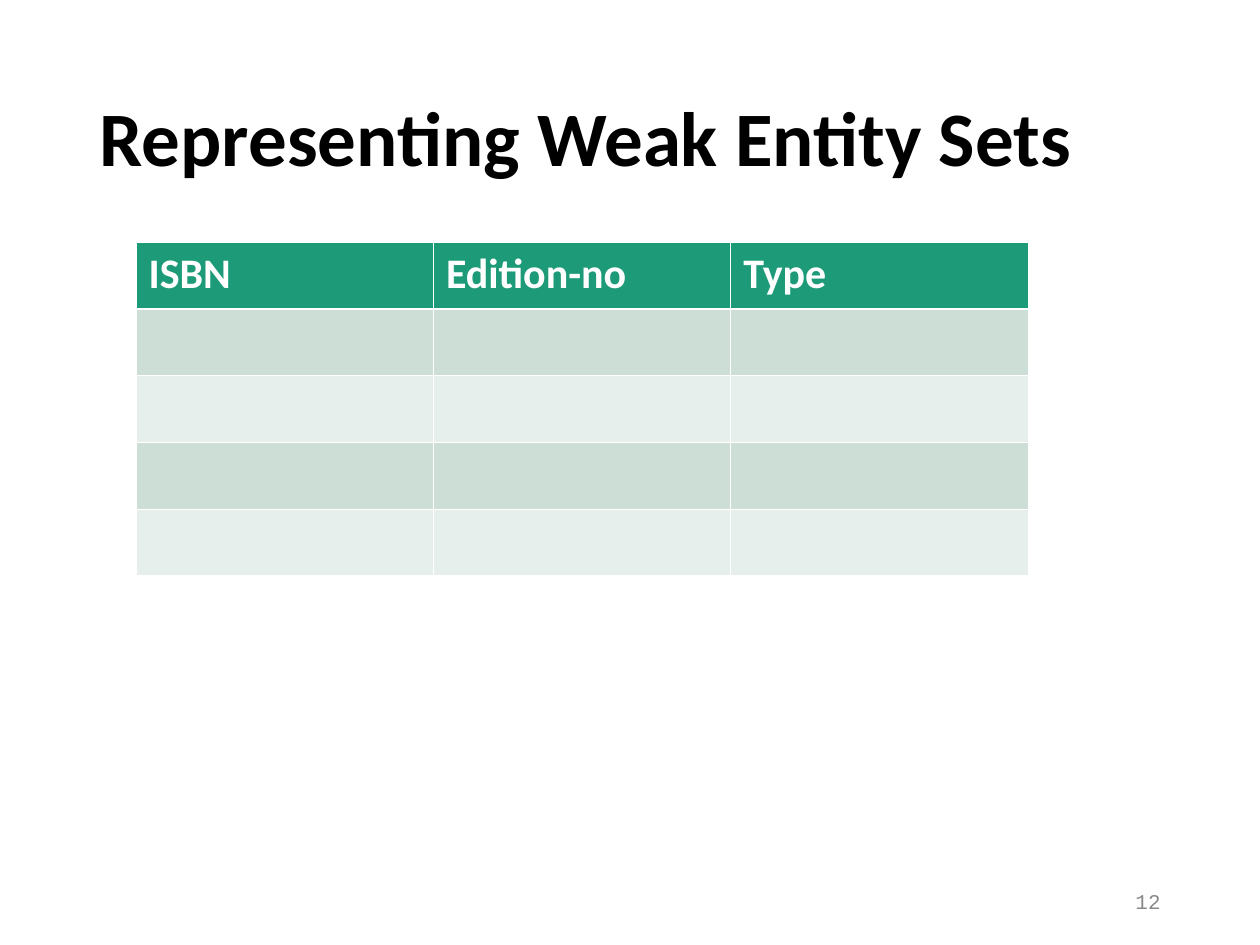
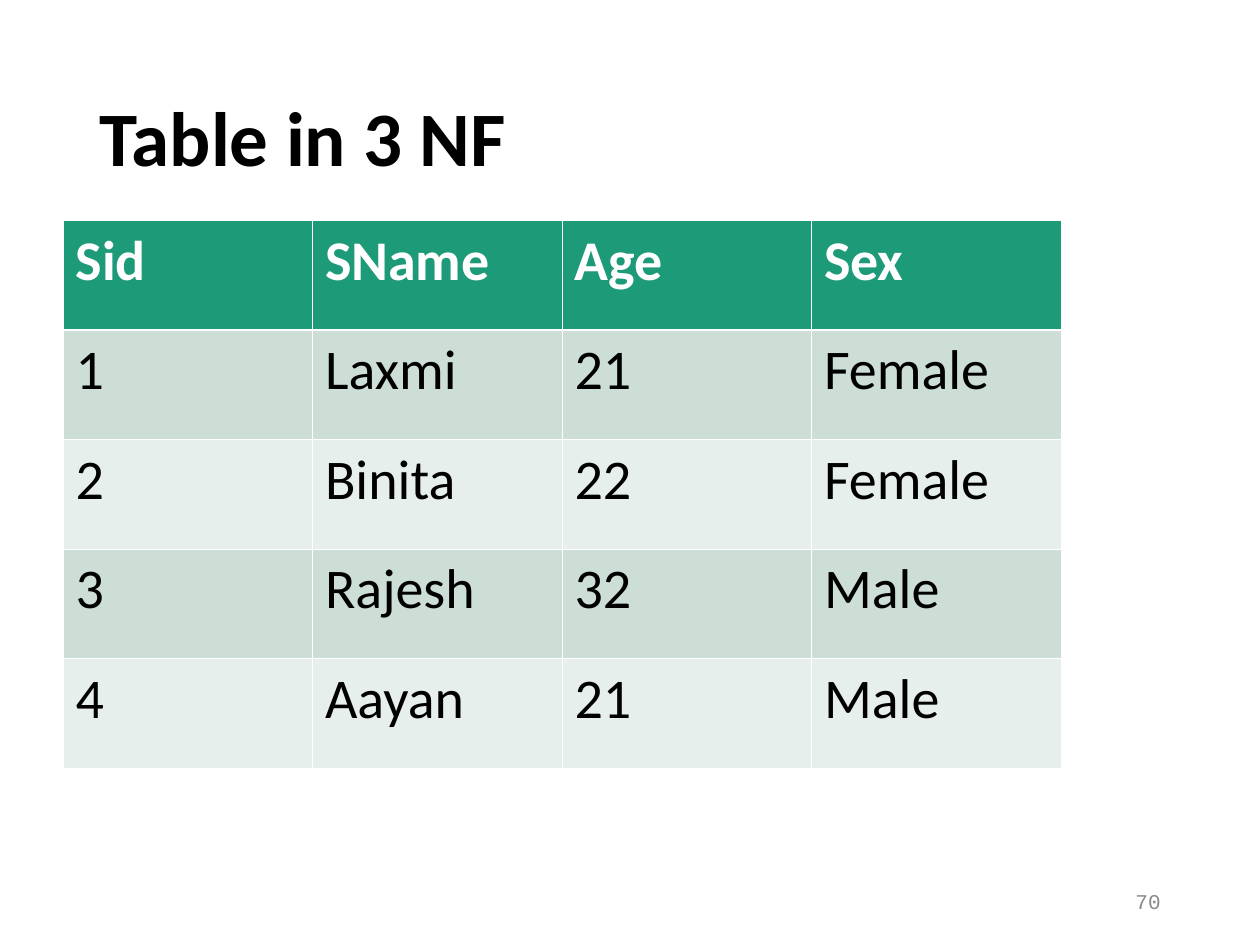
from lxml import etree
from pptx import Presentation
from pptx.dml.color import RGBColor
from pptx.enum.text import MSO_ANCHOR, PP_ALIGN
from pptx.oxml.ns import qn
from pptx.util import Inches, Pt

LEFT, RIGHT = PP_ALIGN.LEFT, PP_ALIGN.RIGHT
MIDDLE = MSO_ANCHOR.MIDDLE

BLACK = RGBColor(0x00, 0x00, 0x00)
WHITE = RGBColor(0xFF, 0xFF, 0xFF)
GREY = RGBColor(0x89, 0x89, 0x89)
GREEN = RGBColor(0x1D, 0x9A, 0x78)
BAND_DARK = RGBColor(0xCC, 0xDE, 0xD6)
BAND_LIGHT = RGBColor(0xE7, 0xEF, 0xEC)

BODY_FONT = "Calibri"
NUMBER_FONT = "Courier New"
THIN, THICK = Pt(0.45), Pt(1.47)


class Deck:
    def __init__(self):
        self.prs = Presentation()
        self.prs.slide_width = Inches(10)
        self.prs.slide_height = Inches(7.5)
        self.s = None

    def style(self, p, size, color, bold=False, font=BODY_FONT, align=LEFT):
        p.alignment = align
        p.font.name = font
        p.font.size = Pt(size)
        p.font.bold = bold
        p.font.color.rgb = color

    def slide(self, title, number):
        self.s = self.prs.slides.add_slide(self.prs.slide_layouts[5])
        self.title(title)
        self.number(number)

    def title(self, text):
        sp = self.s.shapes.title
        sp.left, sp.top = Inches(0.69), Inches(0.4)
        sp.width, sp.height = Inches(8.63), Inches(1.45)
        tf = sp.text_frame
        tf.text = text
        tf.vertical_anchor = MIDDLE
        p = tf.paragraphs[0]
        p.line_spacing = 0.9
        self.style(p, 44, BLACK, bold=True)

    def number(self, number):
        sp = self.s.shapes.add_textbox(Inches(7.06), Inches(6.95), Inches(2.25), Inches(0.4))
        tf = sp.text_frame
        tf.word_wrap = True
        tf.vertical_anchor = MIDDLE
        tf.text = str(number)
        self.style(tf.paragraphs[0], 12, GREY, font=NUMBER_FONT, align=RIGHT)

    def borders(self, cell, row):
        tc_pr = cell._tc.get_or_add_tcPr()
        widths = {
            "a:lnL": THIN,
            "a:lnR": THIN,
            "a:lnT": THICK if row == 1 else THIN,
            "a:lnB": THICK if row == 0 else THIN,
        }
        for tag, width in widths.items():
            ln = etree.SubElement(tc_pr, qn(tag), w=str(width))
            fill = etree.SubElement(ln, qn("a:solidFill"))
            etree.SubElement(fill, qn("a:srgbClr"), val=str(WHITE))

    def table(self, left, top, col_width, row_height, size, rows):
        n_rows, n_cols = len(rows), len(rows[0])
        table = self.s.shapes.add_table(
            n_rows, n_cols, Inches(left), Inches(top),
            Inches(col_width * n_cols), Inches(row_height * n_rows)).table
        for i, row in enumerate(rows):
            header = i == 0
            band = GREEN if header else BAND_DARK if i % 2 else BAND_LIGHT
            for j, text in enumerate(row):
                cell = table.cell(i, j)
                cell.text = text
                self.borders(cell, i)
                cell.fill.solid()
                cell.fill.fore_color.rgb = band
                self.style(cell.text_frame.paragraphs[0], size,
                           WHITE if header else BLACK, bold=header)


def main():
    deck = Deck()

    deck.slide("Representing Weak Entity Sets", 12)
    editions = [["ISBN", "Edition-no", "Type"]] + [[""] * 3] * 4
    deck.table(1.08, 1.92, 2.36, 0.53, 24, editions)

    deck.slide("Table in 3 NF", 70)
    students = [
        ["Sid", "SName", "Age", "Sex"],
        ["1", "Laxmi", "21", "Female"],
        ["2", "Binita", "22", "Female"],
        ["3", "Rajesh", "32", "Male"],
        ["4", "Aayan", "21", "Male"],
    ]
    deck.table(0.5, 1.75, 1.98, 0.87, 32, students)

    deck.prs.save("out.pptx")


if __name__ == "__main__":
    main()
